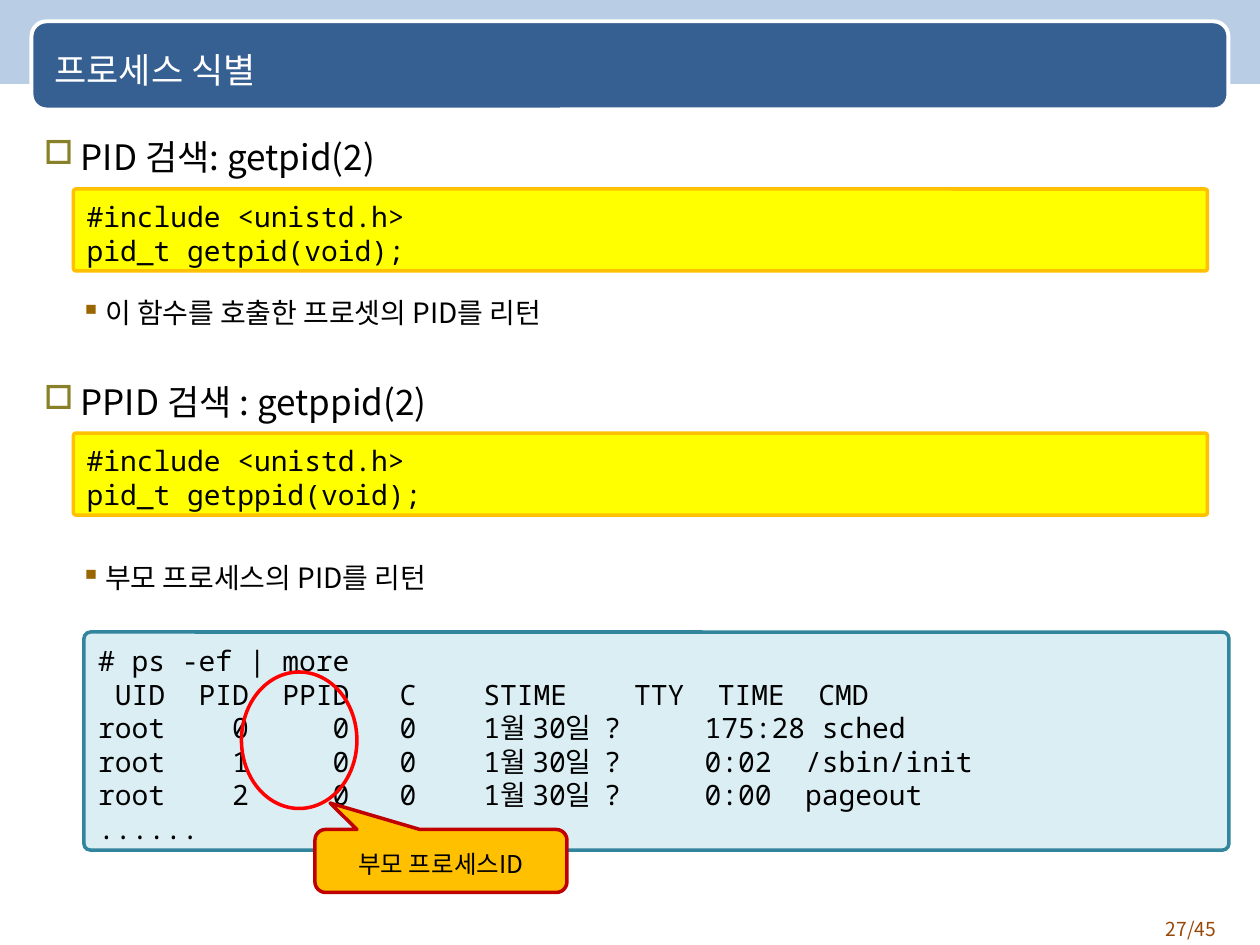
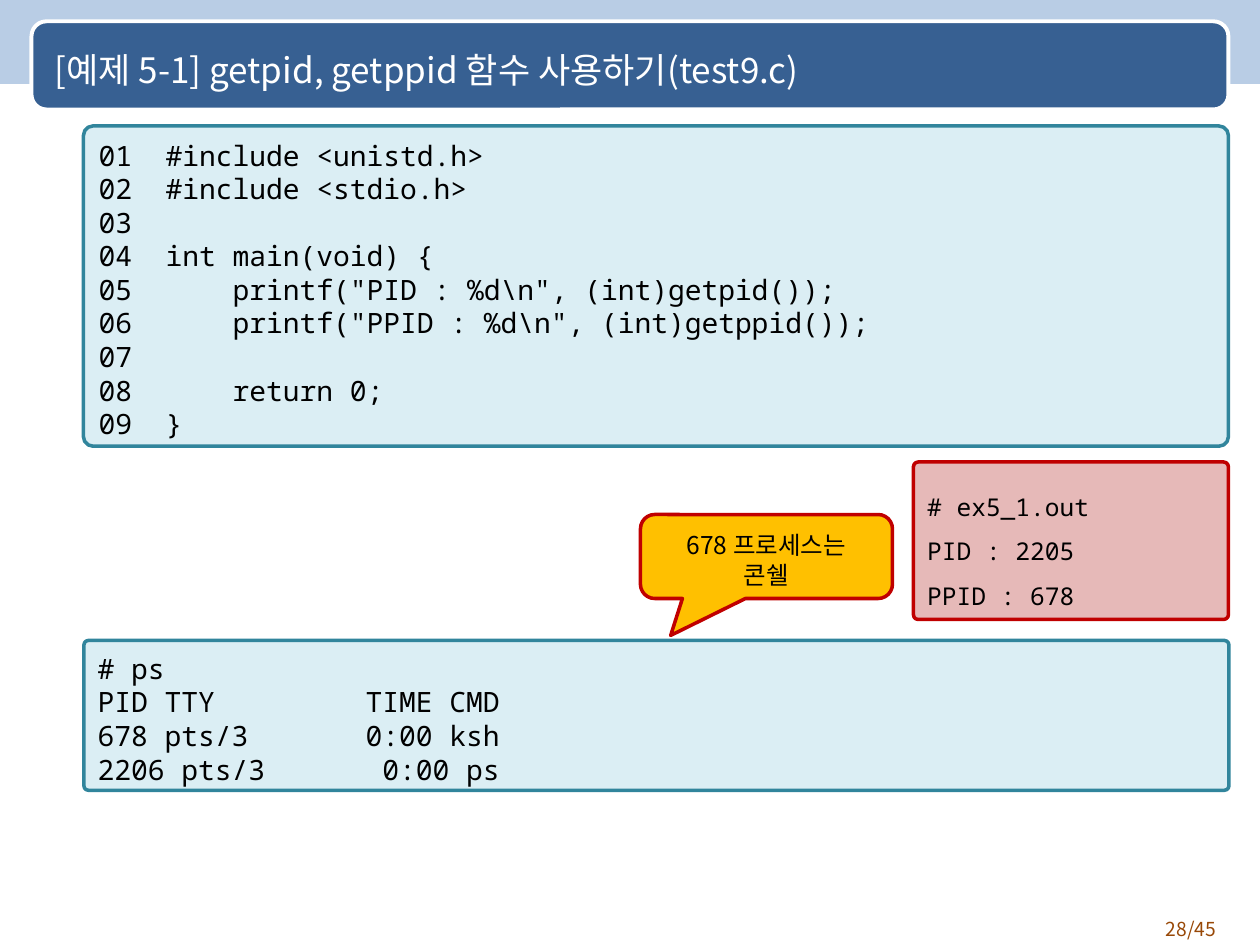
from collections import namedtuple

from lxml import etree
from pptx import Presentation
from pptx.dml.color import RGBColor
from pptx.enum.shapes import MSO_SHAPE
from pptx.enum.text import MSO_ANCHOR, PP_ALIGN
from pptx.oxml.ns import qn
from pptx.util import Pt

RECT, ROUNDED = MSO_SHAPE.RECTANGLE, MSO_SHAPE.ROUNDED_RECTANGLE
OVAL, CALLOUT = MSO_SHAPE.OVAL, MSO_SHAPE.ROUNDED_RECTANGULAR_CALLOUT
TOP, MIDDLE = MSO_ANCHOR.TOP, MSO_ANCHOR.MIDDLE
LEFT, CENTER, RIGHT = PP_ALIGN.LEFT, PP_ALIGN.CENTER, PP_ALIGN.RIGHT

WHITE = RGBColor(0xFF, 0xFF, 0xFF)
BLACK = RGBColor(0x00, 0x00, 0x00)
BAND = RGBColor(0xB9, 0xCD, 0xE5)
NAVY = RGBColor(0x37, 0x60, 0x92)
BROWN = RGBColor(0x98, 0x48, 0x07)
OLIVE = RGBColor(0x88, 0x81, 0x28)
OCHRE = RGBColor(0x99, 0x66, 0x00)
YELLOW = RGBColor(0xFF, 0xFF, 0x00)
AMBER = RGBColor(0xFF, 0xC0, 0x00)
ICE = RGBColor(0xDB, 0xEE, 0xF4)
TEAL = RGBColor(0x31, 0x85, 0x9C)
PINK = RGBColor(0xE6, 0xB9, 0xB8)
CRIMSON = RGBColor(0xC0, 0x00, 0x00)
RED = RGBColor(0xFF, 0x00, 0x00)

SANS, MONO = "Noto Sans CJK KR", "Noto Sans Mono"
LINE_RATIO = 1.2
PAGE_COUNT = 45

Box = namedtuple("Box", "left top width height")
Level = namedtuple("Level", "size indent hang mark color scale")

TOPIC = Level(20, 21, 21, "□", OLIVE, 95)
DETAIL = Level(16, 35, 14, "▪", OCHRE, 100)


def lengths(box):
    return [Pt(value) for value in box]


def prepare_frame(shape, anchor):
    frame = shape.text_frame
    frame.word_wrap = True
    frame.vertical_anchor = anchor
    frame.margin_left = frame.margin_right = Pt(7.2)
    frame.margin_top, frame.margin_bottom = Pt(5.4), Pt(1.8)
    return frame


def add_line(frame, index, text, size, font, color=BLACK, align=LEFT, spacing=1):
    para = frame.add_paragraph() if index else frame.paragraphs[0]
    para.alignment = align
    para.line_spacing = Pt(round(size * LINE_RATIO * spacing, 2))
    span = para.add_run()
    span.text = text
    span.font.name = font
    span.font.size = Pt(size)
    span.font.color.rgb = color
    east_asian = etree.SubElement(span.font._element, qn("a:ea"))
    east_asian.set("typeface", SANS)
    return para


def write_lines(shape, lines, size, font, anchor=MIDDLE, **style):
    frame = prepare_frame(shape, anchor)
    for index, text in enumerate(lines):
        add_line(frame, index, text, size, font, **style)


def add_panel(page, kind, box, fill=None, line=None, width=2, adjust=()):
    shape = page.shapes.add_shape(kind, *lengths(box))
    shape.shadow.inherit = False
    if fill is None:
        shape.fill.background()
    else:
        shape.fill.solid()
        shape.fill.fore_color.rgb = fill
    if line is None:
        shape.line.fill.background()
    else:
        shape.line.color.rgb = line
        shape.line.width = Pt(width)
    for index, value in enumerate(adjust):
        shape.adjustments[index] = value
    return shape


def add_code(page, box, lines, fill=ICE, line=TEAL, size=16, spacing=1):
    panel = add_panel(page, ROUNDED, box, fill, line, adjust=[0.03])
    write_lines(panel, lines, size, MONO, spacing=spacing)


def add_callout(page, box, lines, tip_x, tip_y):
    bubble = add_panel(page, CALLOUT, box, AMBER, CRIMSON,
                       adjust=[tip_x, tip_y, 0.17])
    write_lines(bubble, lines, 14, SANS, align=CENTER)


def add_bullet(para, level):
    props = para._p.get_or_add_pPr()
    props.set("marL", str(Pt(level.indent)))
    props.set("indent", str(-Pt(level.hang)))
    color = etree.SubElement(props, qn("a:buClr"))
    etree.SubElement(color, qn("a:srgbClr")).set("val", str(level.color))
    etree.SubElement(props, qn("a:buSzPct")).set("val", str(level.scale * 1000))
    etree.SubElement(props, qn("a:buChar")).set("char", level.mark)


def add_outline(page, box, items):
    frame = prepare_frame(page.shapes.add_textbox(*lengths(box)), TOP)
    for index, (level, text, gap) in enumerate(items):
        para = add_line(frame, index, text, level.size, SANS)
        add_bullet(para, level)
        if gap:
            para.space_before = Pt(gap)


def add_page(deck, title, number):
    page = deck.slides.add_slide(deck.slide_layouts[6])
    add_panel(page, RECT, Box(0, 0, 720, 48), BAND)
    add_panel(page, ROUNDED, Box(18, 12.2, 684, 50.4), NAVY, WHITE, 2.25, [0.17])
    footer = page.shapes.add_textbox(*lengths(Box(642, 519, 60, 21)))
    write_lines(footer, [f"{number}/{PAGE_COUNT}"], 11, SANS, TOP,
                color=BROWN, align=RIGHT)
    heading = page.shapes.add_textbox(*lengths(Box(24, 13.7, 666, 48)))
    write_lines(heading, [title], 20, SANS, color=WHITE)
    return page


def add_process_id_page(deck):
    page = add_page(deck, "프로세스 식별", 27)
    add_outline(page, Box(18, 72, 684, 450), [
        (TOPIC, "PID 검색: getpid(2)", 0),
        (DETAIL, "이 함수를 호출한 프로셋의 PID를 리턴", 67.6),
        (TOPIC, "PPID 검색 : getppid(2)", 29.2),
        (DETAIL, "부모 프로세스의 PID를 리턴", 79),
    ])
    for top, function in ((108, "getpid"), (247.5, "getppid")):
        add_code(page, Box(42, top, 648, 46.8),
                 ["#include <unistd.h>", f"pid_t {function}(void);"],
                 YELLOW, AMBER)
    add_code(page, Box(48, 361.2, 654.3, 124.6), [
        "# ps -ef | more",
        " UID  PID  PPID   C    STIME    TTY  TIME  CMD",
        "root    0     0   0    1월 30일  ?     175:28 sched",
        "root    1     0   0    1월 30일  ?     0:02  /sbin/init",
        "root    2     0   0    1월 30일  ?     0:00  pageout",
        "......",
    ])
    add_panel(page, OVAL, Box(138, 384, 66, 78), line=RED)
    add_callout(page, Box(180, 474, 144, 36), ["부모 프로세스ID"], -0.44, -0.92)


def add_example_page(deck):
    page = add_page(deck, "[예제 5-1] getpid, getppid 함수 사용하기(test9.c)", 28)
    source = [
        "#include <unistd.h>",
        "#include <stdio.h>",
        "",
        "int main(void) {",
        '    printf("PID : %d\\n", (int)getpid());',
        '    printf("PPID : %d\\n", (int)getppid());',
        "",
        "    return 0;",
        "}",
    ]
    add_code(page, Box(47.7, 72, 654.3, 183),
             [f"{number:02}  {text}".rstrip()
              for number, text in enumerate(source, 1)])
    add_code(page, Box(522, 264, 180, 90),
             ["# ex5_1.out", "PID : 2205", "PPID : 678"],
             PINK, CRIMSON, size=14, spacing=1.5)
    add_code(page, Box(48, 366, 654.3, 85.6), [
        "# ps",
        "PID TTY         TIME CMD",
        "678 pts/3       0:00 ksh",
        "2206 pts/3       0:00 ps",
    ])
    add_callout(page, Box(366, 294, 144, 48),
                ["678 프로세스는", "콘쉘"], -0.38, 0.94)


def main():
    deck = Presentation()
    deck.slide_width, deck.slide_height = Pt(720), Pt(540)
    add_process_id_page(deck)
    add_example_page(deck)
    deck.save("out.pptx")


if __name__ == "__main__":
    main()
